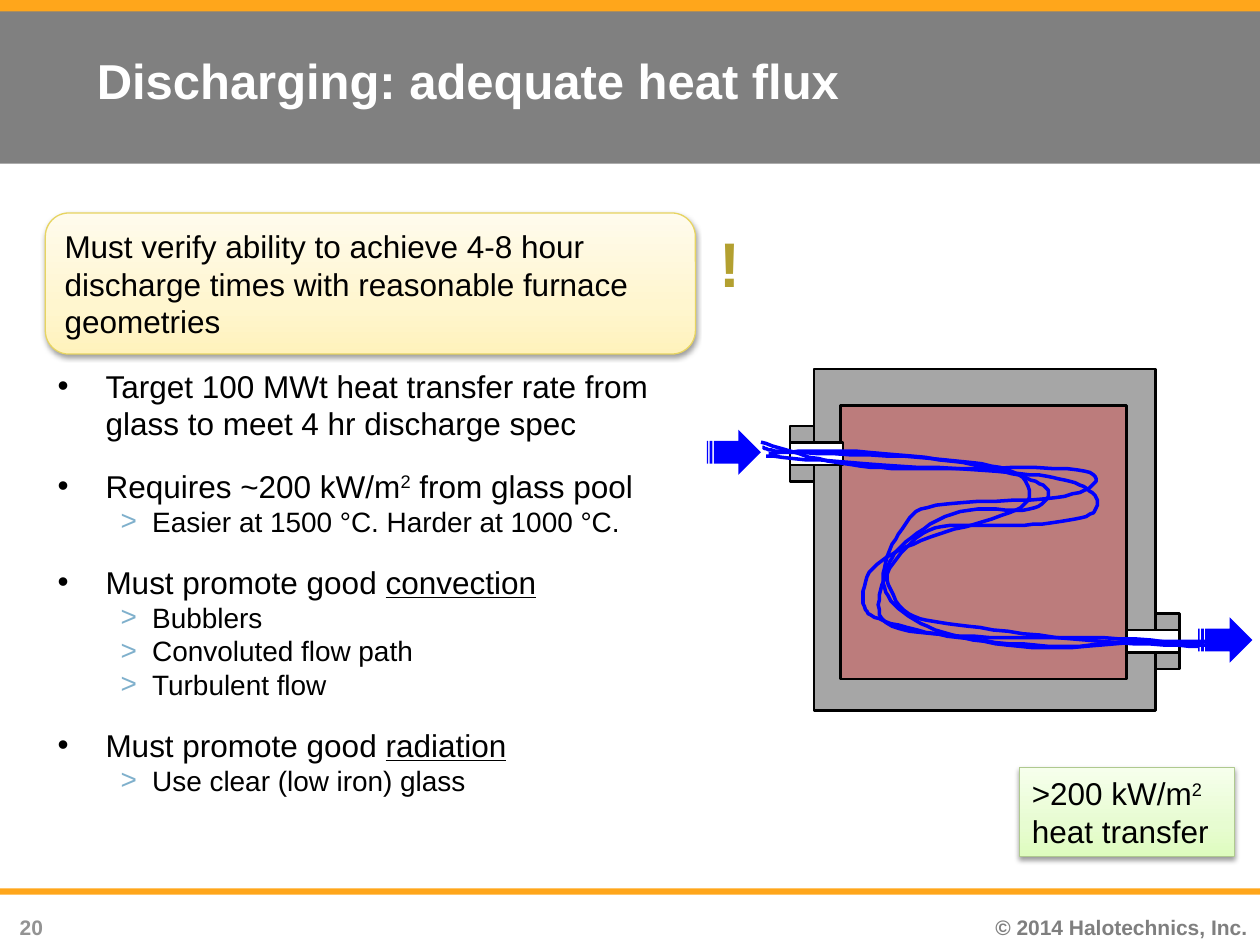
from dataclasses import dataclass

from lxml import etree
from pptx import Presentation, util as u
from pptx.dml.color import RGBColor
from pptx.enum import shapes, text
from pptx.oxml.ns import qn

PX = 9144  # EMU per px, at 100 px to the inch
FONT = "Arial"
COLORS = {
    "black": "000000", "white": "FFFFFF", "band": "808080", "accent": "FFA61B",
    "footer": "7F7F7F", "number": "939393", "marker": "7FB0CC", "alert": "B3A030",
    "wall": "A6A6A6", "glass": "FF0000", "flow": "0000FF",
    "callout low": "FFF2BC", "callout mid": "FFF6CF", "callout high": "FFFBED", "callout edge": "E7D461",
    "result low": "DEFCBE", "result mid": "E7FCD1", "result high": "F6FFEC", "result edge": "AFC98F",
}


@dataclass
class Area:
    x: int
    y: int
    w: int
    h: int

    def emu(self) -> list[int]:
        return [value * PX for value in (self.x, self.y, self.w, self.h)]


@dataclass
class Span:
    text: str
    underline: bool = False
    raised: bool = False


@dataclass
class Para:
    spans: list[Span]
    size: int = 18
    color: str = "black"
    bold: bool = False
    align: text.PP_ALIGN = text.PP_ALIGN.LEFT
    bullet: str = ""


@dataclass
class Block:
    area: Area
    fill: str
    outlined: bool = True
    alpha: int = 100
    kind: shapes.MSO_SHAPE = shapes.MSO_SHAPE.RECTANGLE


@dataclass
class Card:
    area: Area
    kind: shapes.MSO_SHAPE
    palette: str
    para: Para


def rgb(name: str) -> RGBColor:
    return RGBColor.from_string(COLORS[name])


def child(parent, tag: str, **attributes):
    return etree.SubElement(parent, qn(tag), attributes)


def add_bullet(para, mark: str) -> None:
    """Give a paragraph its hanging indent and bullet mark."""
    left, hang = (38, 38) if mark == "•" else (75, 25)
    properties = para._p.get_or_add_pPr()
    properties.set("marL", str(left * PX))
    properties.set("indent", str(-hang * PX))
    if mark == ">":
        child(child(properties, "a:buClr"), "a:srgbClr", val=COLORS["marker"])
    child(properties, "a:buFont", typeface=FONT)
    child(properties, "a:buChar", char=mark)


def write(frame, paras: list[Para]) -> None:
    for index, item in enumerate(paras):
        para = frame.add_paragraph() if index else frame.paragraphs[0]
        para.alignment = item.align
        if item.bullet:
            add_bullet(para, item.bullet)
        if index and item.bullet == "•":
            para.space_before = u.Pt(14)
        para.font.name, para.font.size = FONT, u.Pt(item.size)
        para.font.bold = item.bold
        para.font.color.rgb = rgb(item.color)
        for part in item.spans:
            span = para.add_run()
            span.text = part.text
            if part.underline:
                span.font.underline = True
            if part.raised:
                span._r.get_or_add_rPr().set("baseline", "30000")


def draw_text(page, area: Area, paras: list[Para], wrap: bool = True, anchor=text.MSO_ANCHOR.TOP) -> None:
    box = page.shapes.add_textbox(*area.emu())
    box.text_frame.word_wrap = wrap
    box.text_frame.vertical_anchor = anchor
    write(box.text_frame, paras)


def draw_block(page, block: Block) -> None:
    shape = page.shapes.add_shape(block.kind, *block.area.emu())
    shape.shadow.inherit = False
    shape.fill.solid()
    shape.fill.fore_color.rgb = rgb(block.fill)
    if block.alpha < 100:
        color = shape._element.spPr.find(qn("a:solidFill"))[0]
        child(color, "a:alpha", val=str(block.alpha * 1000))
    if block.outlined:
        shape.line.color.rgb, shape.line.width = rgb("black"), u.Pt(1.5)
    else:
        shape.line.fill.background()


def draw_nozzle(page, flange: Area, bore: Area) -> None:
    draw_block(page, Block(flange, "wall"))
    draw_block(page, Block(bore, "white"))


def draw_card(page, card: Card) -> None:
    """Draw a gradient box with a soft shadow below it."""
    shape = page.shapes.add_shape(card.kind, *card.area.emu())
    shape.fill.gradient()
    shape.fill.gradient_angle = 90
    properties = shape._element.spPr
    stops = properties.find(".//" + qn("a:gsLst"))
    stops.clear()
    for position, tone in ((0, "low"), (35, "mid"), (100, "high")):
        stop = child(stops, "a:gs", pos=str(position * 1000))
        child(stop, "a:srgbClr", val=COLORS[f"{card.palette} {tone}"])
    shape.line.color.rgb, shape.line.width = rgb(f"{card.palette} edge"), u.Pt(0.75)
    shape.shadow.inherit = False
    shadow = child(properties.find(qn("a:effectLst")), "a:outerShdw", blurRad=str(u.Pt(3.1)),
                   dist=str(u.Pt(1.6)), dir="5400000", rotWithShape="0")
    child(child(shadow, "a:srgbClr", val=COLORS["black"]), "a:alpha", val="38000")
    shape.text_frame.word_wrap = True
    write(shape.text_frame, [card.para])


def smooth(knots: list[tuple[int, int]], steps: int = 8) -> list[tuple[float, float]]:
    """Return points on a Catmull-Rom curve through the knots."""
    padded = [knots[0], *knots, knots[-1]]
    points = [knots[0]]
    for corners in zip(padded, padded[1:], padded[2:], padded[3:]):
        for step in range(1, steps + 1):
            t = step / steps
            points.append(tuple(
                b + t * (c - a + t * (2 * a - 5 * b + 4 * c - d + t * (3 * b - a - 3 * c + d))) / 2
                for a, b, c, d in zip(*corners)))
    return points


def draw_stream(page, knots: list[tuple[int, int]]) -> None:
    points = smooth(knots)
    builder = page.shapes.build_freeform(*points[0], scale=PX)
    builder.add_line_segments(points[1:], close=False)
    stream = builder.convert_to_shape()
    stream.shadow.inherit = False
    stream.fill.background()
    stream.line.color.rgb, stream.line.width = rgb("flow"), u.Pt(2)


STREAMS = [
    [(605, 355), (627, 359), (729, 363), (800, 373), (817, 391), (801, 407), (731, 429),
     (693, 451), (685, 479), (702, 493), (761, 506), (841, 513), (901, 509), (968, 513)],
    [(608, 362), (686, 368), (801, 375), (849, 382), (870, 395), (862, 410), (813, 417),
     (747, 418), (718, 436), (699, 468), (708, 497), (785, 506), (875, 506), (969, 513)],
    [(604, 351), (657, 366), (719, 372), (847, 372), (869, 383), (838, 395), (743, 401),
     (716, 420), (701, 455), (713, 483), (756, 504), (829, 514), (917, 509), (971, 509)],
    [(610, 360), (669, 358), (755, 366), (814, 379), (832, 391), (817, 404), (762, 406),
     (719, 430), (704, 456), (721, 487), (768, 497), (862, 508), (951, 513)],
]


def topic(*spans: Span) -> Para:
    return Para(list(spans), bullet="•")


def detail(words: str) -> Para:
    return Para([Span(words)], size=16, bullet=">")


BODY = [
    topic(Span("Target 100 MWt heat transfer rate from glass to meet 4 hr discharge spec")),
    topic(Span("Requires ~200 kW/m"), Span("2", raised=True), Span(" from glass pool")),
    detail("Easier at 1500 °C. Harder at 1000 °C."),
    topic(Span("Must promote good "), Span("convection", underline=True)),
    *map(detail, ("Bubblers", "Convoluted flow path", "Turbulent flow")),
    topic(Span("Must promote good "), Span("radiation", underline=True)),
    detail("Use clear (low iron) glass"),
]
CALLOUT = Card(Area(36, 169, 516, 112), shapes.MSO_SHAPE.ROUNDED_RECTANGLE, "callout", Para(
    [Span("Must verify ability to achieve 4-8 hour discharge times with reasonable furnace geometries")]))
RESULT = Card(Area(809, 609, 171, 71), shapes.MSO_SHAPE.RECTANGLE, "result", Para(
    [Span(">200 kW/m"), Span("2", raised=True), Span(" heat transfer")]))


def main() -> None:
    deck = Presentation()
    deck.slide_width, deck.slide_height = 1000 * PX, 750 * PX
    page = deck.slides.add_slide(deck.slide_layouts[6])
    for top, height, fill in ((0, 130, "band"), (705, 5, "accent"), (0, 9, "accent")):
        draw_block(page, Block(Area(0, top, 1000, height), fill, outlined=False))
    right = text.PP_ALIGN.RIGHT
    draw_text(page, Area(751, 721, 249, 29),
              [Para([Span("© 2014 Halotechnics, Inc.")], 12, "footer", True, right)])
    draw_text(page, Area(0, 721, 44, 26), [Para([Span("20")], 12, "number", True, right)])
    draw_text(page, Area(67, -2, 900, 131), [Para([Span("Discharging: adequate heat flux")], 28, "white", True)],
              anchor=text.MSO_ANCHOR.MIDDLE)
    draw_text(page, Area(36, 286, 506, 371), BODY)
    draw_card(page, CALLOUT)
    draw_text(page, Area(561, 173, 37, 71), [Para([Span("!")], 36, "alert", True)], wrap=False)
    draw_block(page, Block(Area(646, 293, 271, 271), "wall"))
    draw_block(page, Block(Area(667, 322, 227, 217), "glass", alpha=25))
    for top, flange_left, bore_left in ((487, 917, 894), (338, 627, 627)):
        draw_nozzle(page, Area(flange_left, top, 19, 44), Area(bore_left, top + 13, 42, 18))
    draw_card(page, RESULT)
    for stream in STREAMS:
        draw_stream(page, stream)
    for left, top in ((561, 341), (951, 490)):
        draw_block(page, Block(Area(left, top, 43, 36), "flow", outlined=False,
                               kind=shapes.MSO_SHAPE.STRIPED_RIGHT_ARROW))
    deck.save("out.pptx")


if __name__ == "__main__":
    main()
